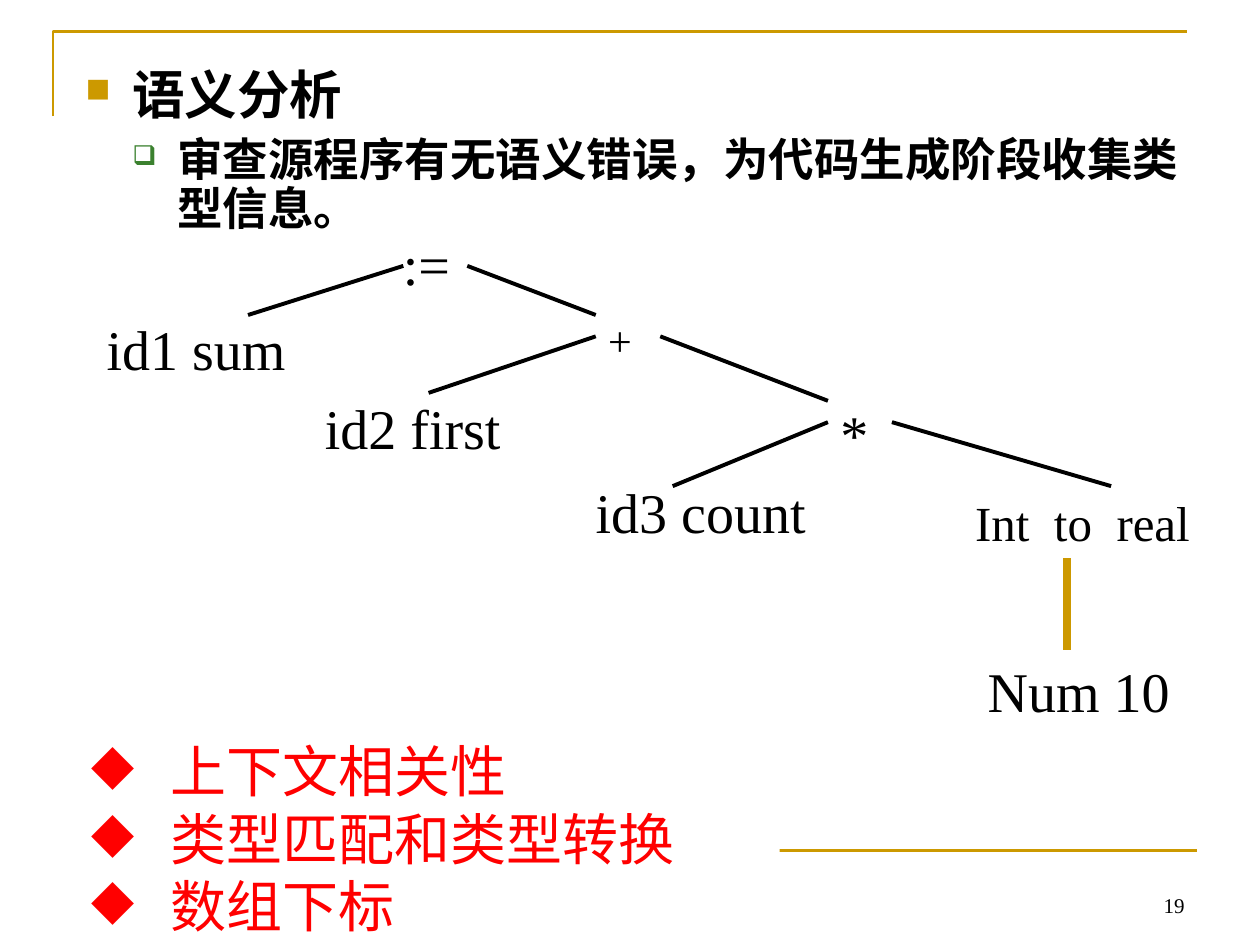
"""Build the semantic analysis slide with its syntax tree."""
import lxml.etree
import pptx
import pptx.dml.color
import pptx.enum.shapes
import pptx.enum.text
import pptx.oxml.ns
import pptx.util

Cm = pptx.util.Cm
Pt = pptx.util.Pt
enum = pptx.enum.text
qn = pptx.oxml.ns.qn
hues = {"gold": "CC9900", "ochre": "CC9800", "green": "3B812F",
        "red": "FF0000", "black": "000000", "white": "FFFFFF"}
rgb = {name: pptx.dml.color.RGBColor.from_string(code) for name, code in hues.items()}

deck = pptx.Presentation()
deck.slide_width, deck.slide_height = Cm(25.4), Cm(19.05)
slide = deck.slides.add_slide(deck.slide_layouts[6])
shapes = slide.shapes


def write(para, text, size, face="Times New Roman", hue="black", bold=False, mark=None):
    para.text = text
    if mark:
        char, tint, scale, left, hang = mark
        props = para._p.get_or_add_pPr()
        props.set("marL", str(Cm(left)))
        props.set("indent", str(-Cm(hang)))
        color = lxml.etree.SubElement(props, qn("a:buClr"))
        lxml.etree.SubElement(color, qn("a:srgbClr"), val=hues[tint])
        lxml.etree.SubElement(props, qn("a:buSzPct"), val=str(scale * 1000))
        lxml.etree.SubElement(props, qn("a:buChar"), char=char)
    font = para.font
    font.name, font.size, font.bold = face, Pt(size), bold
    font.color.rgb = rgb[hue]


def draw(ends, hue, width):
    line = shapes.add_connector(
        pptx.enum.shapes.MSO_CONNECTOR.STRAIGHT, *[Cm(n) for n in ends])
    line.line.color.rgb = rgb[hue]
    line.line.width = Pt(width)
    lxml.etree.SubElement(line._element.spPr, qn("a:effectLst"))


pen = shapes.build_freeform(Cm(1.07), Cm(2.34))
pen.add_line_segments([(Cm(1.07), Cm(0.64)), (Cm(23.93), Cm(0.64))], close=False)
frame = pen.convert_to_shape()
frame.shadow.inherit = False
frame.fill.background()
frame.line.color.rgb = rgb["gold"]
frame.line.width = Pt(1.5)
draw((1.27, 17.15, 24.13, 17.15), "gold", 1.5)

body = shapes.add_textbox(Cm(1.47), Cm(1.27), Cm(22.71), Cm(4.45)).text_frame
body.word_wrap = True
points = [
    ("语义分析", 30, 7.5, ("■", "gold", 65, 0.95, 0.95)),
    ("审查源程序有无语义错误，为代码生成阶段收集类型信息。", 26, 6.5,
     ("❑", "green", 60, 1.85, 0.9)),
]
for level, (text, size, gap, mark) in enumerate(points):
    para = body.add_paragraph() if level else body.paragraphs[0]
    write(para, text, size, "Arial", bold=True, mark=mark)
    para.level = level
    para.line_spacing = 0.9
    para.space_before = Pt(gap)

panel = shapes.add_shape(pptx.enum.shapes.MSO_SHAPE.RECTANGLE,
                         Cm(0.33), Cm(14.73), Cm(15.39), Cm(4.32))
panel.shadow.inherit = False
panel.fill.solid()
panel.fill.fore_color.rgb = rgb["white"]
panel.line.fill.background()
notes = panel.text_frame
notes.word_wrap = True
notes.vertical_anchor = enum.MSO_ANCHOR.TOP
notes.auto_size = enum.MSO_AUTO_SIZE.SHAPE_TO_FIT_TEXT
for i, text in enumerate(["上下文相关性", "类型匹配和类型转换", "数组下标"]):
    para = notes.add_paragraph() if i else notes.paragraphs[0]
    write(para, text, 32, "Arial", "red", mark=("◆", "red", 100, 2.86, 1.59))
    para.level = 1
    para.alignment = enum.PP_ALIGN.LEFT

nodes = [
    (":=", 7.87, 4.5, 2.08, 1.63, 32),
    ("+", 12.01, 6.22, 2.08, 1.27, 24),
    ("Num 10", 19.66, 13.11, 5.44, 1.63, 32),
    ("*", 16.69, 7.92, 2.08, 1.63, 32),
    ("id1 sum", 1.9, 6.22, 5.18, 1.63, 32),
    ("id2 first", 6.3, 7.8, 5.72, 1.63, 32),
    ("id3 count", 11.76, 9.5, 5.56, 1.63, 32),
    ("Int  to  real", 19.41, 9.8, 5.72, 1.45, 28),
]
for text, *place, size in nodes:
    node = shapes.add_textbox(*[Cm(n) for n in place]).text_frame
    node.word_wrap = True
    node.auto_size = enum.MSO_AUTO_SIZE.SHAPE_TO_FIT_TEXT
    write(node.paragraphs[0], text, size)
    node.paragraphs[0].space_before = Pt(size * 0.625)

edges = [
    (5, 6.35, 8.13, 5.36),
    (9.42, 5.36, 12.01, 6.35),
    (12.01, 6.78, 8.64, 7.92),
    (13.31, 6.78, 16.69, 8.08),
    (17.98, 8.51, 22.4, 9.8),
    (16.69, 8.51, 13.56, 9.8),
]
for ends in edges:
    draw(ends, "black", 2.25)
draw((21.51, 11.25, 21.51, 13.11), "ochre", 4.5)

page = shapes.add_textbox(Cm(18.21), Cm(17.35), Cm(5.92), Cm(1.27)).text_frame
page.word_wrap = True
page.vertical_anchor = enum.MSO_ANCHOR.BOTTOM
write(page.paragraphs[0], "19", 12)
page.paragraphs[0].alignment = enum.PP_ALIGN.RIGHT

deck.save("out.pptx")
